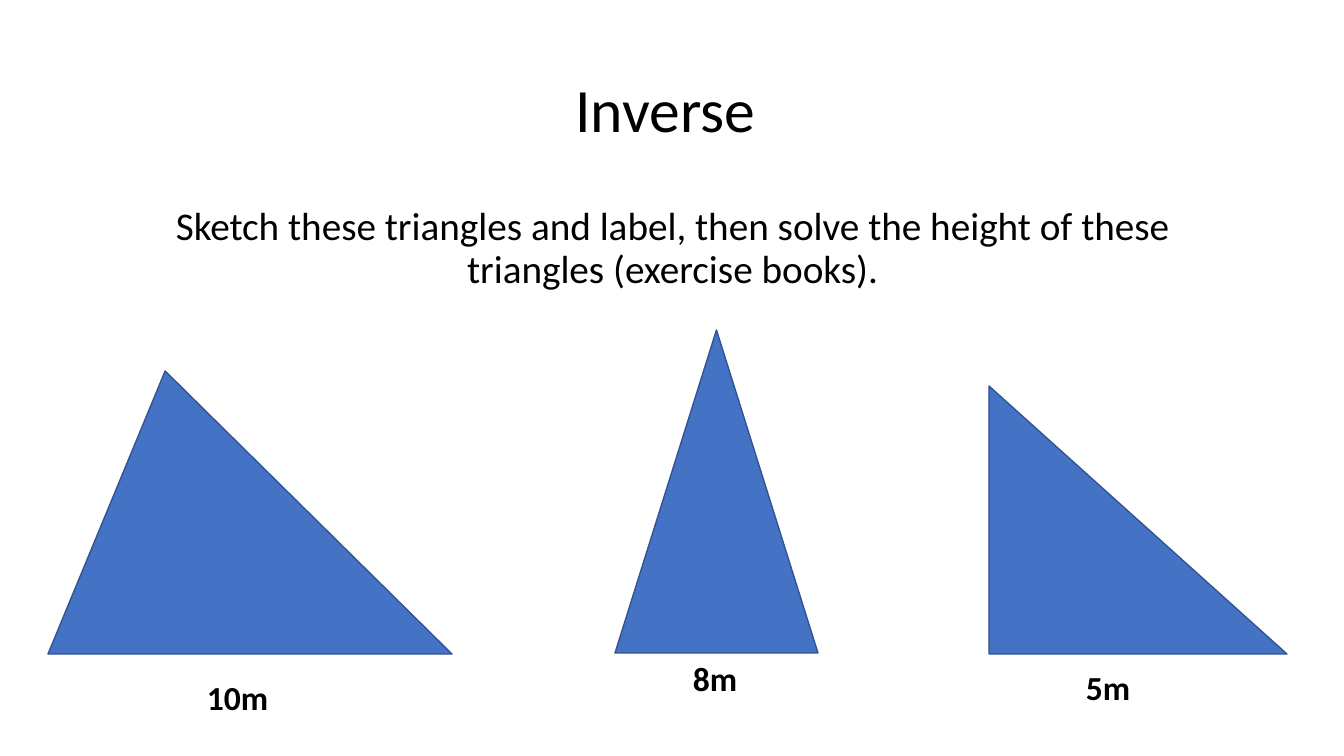
import pptx
import pptx.dml.color
import pptx.enum.shapes
import pptx.enum.text
import pptx.util

EMU_PER_PX = 914400 / 100.8
FONT = "Calibri"
COLOURS = {"text": "000000", "triangle": "4472C4", "outline": "325491"}
SHAPES = pptx.enum.shapes.MSO_SHAPE
ALIGN = pptx.enum.text.PP_ALIGN
ANCHOR = pptx.enum.text.MSO_ANCHOR


def px(*lengths):
    return [pptx.util.Emu(round(length * EMU_PER_PX)) for length in lengths]


def colour(name):
    return pptx.dml.color.RGBColor.from_string(COLOURS[name])


def add_text(slide, box, text, size, bold=False, align=ALIGN.LEFT,
             anchor=ANCHOR.TOP, line_spacing=1.0):
    frame = slide.shapes.add_textbox(*px(*box)).text_frame
    frame.word_wrap = True
    frame.vertical_anchor = anchor
    paragraph = frame.paragraphs[0]
    paragraph.text = text
    paragraph.alignment = align
    paragraph.line_spacing = line_spacing
    paragraph.font.name = FONT
    paragraph.font.size = pptx.util.Pt(size)
    paragraph.font.bold = bold
    paragraph.font.color.rgb = colour("text")


def add_triangle(slide, kind, box, apex=None):
    """Draw a triangle; apex is the tip's place along the base, from 0 to 1."""
    triangle = slide.shapes.add_shape(kind, *px(*box))
    if apex is not None:
        triangle.adjustments[0] = apex
    triangle.shadow.inherit = False
    triangle.fill.solid()
    triangle.fill.fore_color.rgb = colour("triangle")
    triangle.line.color.rgb = colour("outline")
    triangle.line.width = pptx.util.Pt(1)


def add_base_label(slide, left, top, length):
    add_text(slide, (left, top, 103, 50), length, 24, bold=True)


def main():
    presentation = pptx.Presentation()
    presentation.slide_width, presentation.slide_height = px(1344, 756)
    slide = presentation.slides.add_slide(presentation.slide_layouts[6])

    add_text(slide, (93, 40, 1159, 146), "Inverse ", 44, align=ALIGN.CENTER,
             anchor=ANCHOR.MIDDLE, line_spacing=0.9)
    add_text(slide, (93, 202, 1159, 480),
             "Sketch these triangles and label, then solve the height of these "
             "triangles (exercise books).",
             28, align=ALIGN.CENTER, line_spacing=0.9)

    add_triangle(slide, SHAPES.ISOSCELES_TRIANGLE, (48, 371, 404, 283), apex=0.29)
    add_triangle(slide, SHAPES.ISOSCELES_TRIANGLE, (615, 330, 203, 323), apex=0.5)
    add_triangle(slide, SHAPES.RIGHT_TRIANGLE, (989, 386, 298, 268))

    add_base_label(slide, 683, 653, "8m")
    add_base_label(slide, 197, 672, "10m")
    add_base_label(slide, 1076, 662, "5m")

    presentation.save("out.pptx")


if __name__ == "__main__":
    main()
